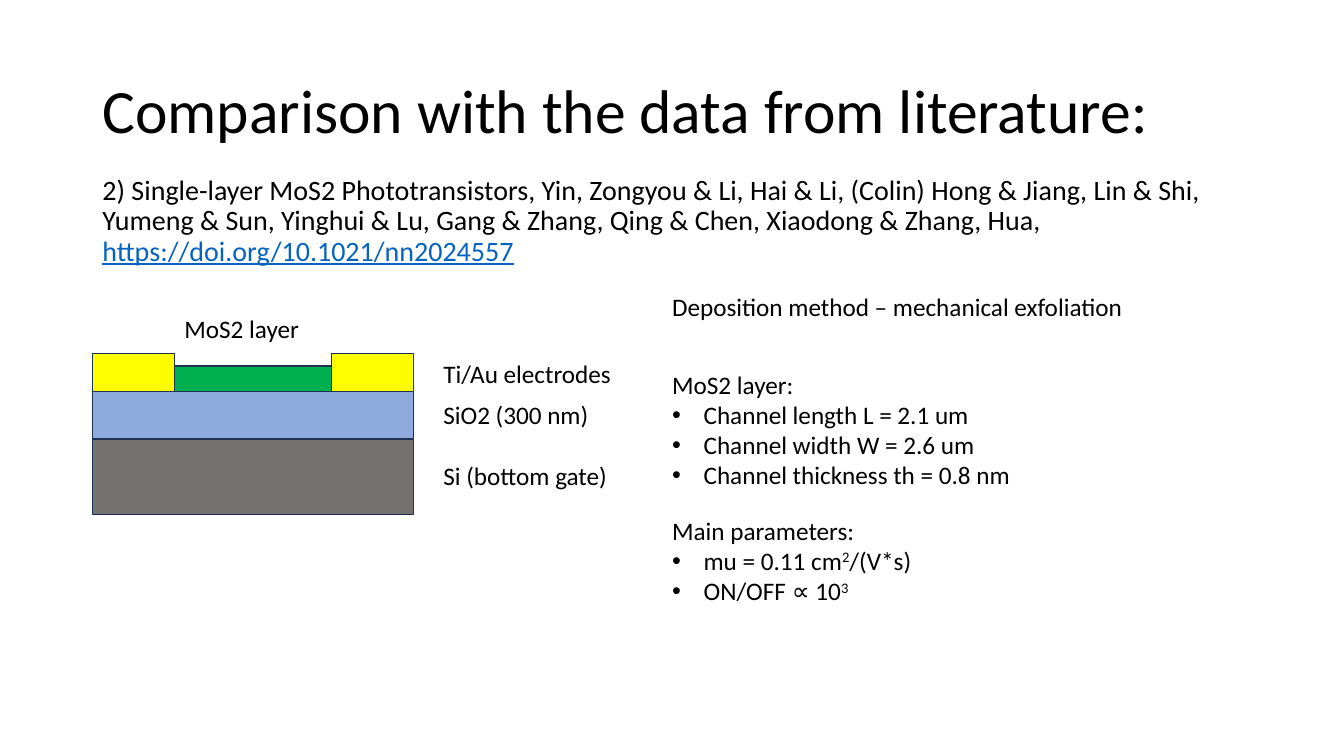
"""Build a slide comparing a MoS2 phototransistor with literature data."""
import pptx
import pptx.dml.color
import pptx.enum.shapes
import pptx.enum.text
import pptx.oxml
import pptx.oxml.ns
import pptx.util

Pt = pptx.util.Pt

COLORS = {
    "text": "000000", "link": "0563C1", "outline": "1E3256",
    "gate": "767171", "oxide": "8FAADC", "electrode": "FFFF00", "channel": "00B050",
}
FONT = "Calibri"
BULLET_INDENT = 22.5

TITLE = "Comparison with the data from literature:"
CITATION = [
    "2) Single-layer MoS2 Phototransistors, Yin, Zongyou & Li, Hai & Li, (Colin) Hong "
    "& Jiang, Lin & Shi, Yumeng & Sun, Yinghui & Lu, Gang & Zhang, Qing & Chen, "
    "Xiaodong & Zhang, Hua, ",
    ("https://doi.org/10.1021/nn2024557", "link"),
]

LABELS = [
    ((309.6, 252.7, 136, 29), ["Ti/Au electrodes"], {}),
    ((309.6, 281.5, 136, 73), ["SiO2 (300 nm)", "Si (bottom gate)"], {"gap": 22}),
    ((124.6, 220.3, 100, 29), ["MoS2 layer"], {}),
    ((473, 260, 262, 94),
     ["MoS2 layer:", "Channel length L = 2.1 um", "Channel width W = 2.6 um",
      "Channel thickness th = 0.8 nm"], {"bulleted": True}),
    ((473, 364.3, 190, 73),
     ["Main parameters:", ["mu = 0.11 cm", ("2", "super"), "/(V*s)"],
      ["ON/OFF ∝ 10", ("3", "super")]], {"bulleted": True}),
    ((473, 204.5, 343, 29), ["Deposition method – mechanical exfoliation"], {}),
]

STACK_LEFT, STACK_TOP, STACK_WIDTH = 66, 252.5, 229.5
ELECTRODE_WIDTH, ELECTRODE_HEIGHT = 58.5, 27
CHANNEL_HEIGHT, OXIDE_HEIGHT, GATE_HEIGHT = 18, 34, 54


def rgb(name):
    return pptx.dml.color.RGBColor.from_string(COLORS[name])


def place(shape, bounds):
    shape.left, shape.top, shape.width, shape.height = map(Pt, bounds)


def set_bullet(para, bulleted):
    props = para._p.get_or_add_pPr()
    indent = Pt(BULLET_INDENT) if bulleted else 0
    props.set("marL", str(indent))
    props.set("indent", str(-indent))
    namespace = pptx.oxml.ns.nsdecls("a")
    if bulleted:
        props.append(pptx.oxml.parse_xml(f'<a:buFont {namespace} typeface="Arial"/>'))
        props.append(pptx.oxml.parse_xml(f'<a:buChar {namespace} char="•"/>'))
    else:
        props.append(pptx.oxml.parse_xml(f"<a:buNone {namespace}/>"))


def write_text(shape, paragraphs, size=18, spacing=1.0, gap=0, bulleted=False, anchor="TOP"):
    frame = shape.text_frame
    frame.word_wrap = True
    frame.auto_size = pptx.enum.text.MSO_AUTO_SIZE.NONE
    frame.vertical_anchor = pptx.enum.text.MSO_ANCHOR[anchor]
    for index, content in enumerate(paragraphs):
        para = frame.paragraphs[0] if index == 0 else frame.add_paragraph()
        para.alignment = pptx.enum.text.PP_ALIGN.LEFT
        para.line_spacing = spacing
        para.space_before = Pt(gap if index else 0)
        set_bullet(para, bulleted and index > 0)
        for part in [content] if isinstance(content, str) else content:
            text, style = (part, "plain") if isinstance(part, str) else part
            span = para.add_run()
            span.text = text
            span.font.name = FONT
            span.font.size = Pt(size)
            span.font.color.rgb = rgb("link" if style == "link" else "text")
            if style == "link":
                span.font.underline = True
            if style == "super":
                span._r.get_or_add_rPr().set("baseline", "30000")


def add_layer(page, bounds, color):
    layer = page.shapes.add_shape(
        pptx.enum.shapes.MSO_SHAPE.RECTANGLE, *map(Pt, bounds))
    layer.shadow.inherit = False
    layer.fill.solid()
    layer.fill.fore_color.rgb = rgb(color)
    layer.line.color.rgb = rgb("outline")
    layer.line.width = Pt(1)


def add_device(page):
    oxide_top = STACK_TOP + ELECTRODE_HEIGHT
    gate_top = oxide_top + OXIDE_HEIGHT
    right_electrode = STACK_LEFT + STACK_WIDTH - ELECTRODE_WIDTH
    add_layer(page, (STACK_LEFT, gate_top, STACK_WIDTH, GATE_HEIGHT), "gate")
    add_layer(page, (STACK_LEFT, oxide_top, STACK_WIDTH, OXIDE_HEIGHT), "oxide")
    for left in (STACK_LEFT, right_electrode):
        add_layer(page, (left, STACK_TOP, ELECTRODE_WIDTH, ELECTRODE_HEIGHT), "electrode")
    add_layer(page, (STACK_LEFT + ELECTRODE_WIDTH, oxide_top - CHANNEL_HEIGHT,
                     STACK_WIDTH - 2 * ELECTRODE_WIDTH, CHANNEL_HEIGHT), "channel")


def main():
    deck = pptx.Presentation()
    deck.slide_width, deck.slide_height = Pt(960), Pt(540)
    page = deck.slides.add_slide(deck.slide_layouts[1])
    title, body = page.placeholders
    place(title, (66, 28.8, 828, 104.4))
    write_text(title, [TITLE], size=44, spacing=0.9, anchor="MIDDLE")
    place(body, (66, 122.4, 828, 82.8))
    write_text(body, [CITATION], size=20, spacing=0.9)
    add_device(page)
    for bounds, paragraphs, options in LABELS:
        box = page.shapes.add_textbox(*map(Pt, bounds))
        write_text(box, paragraphs, **options)
    deck.save("out.pptx")


if __name__ == "__main__":
    main()
